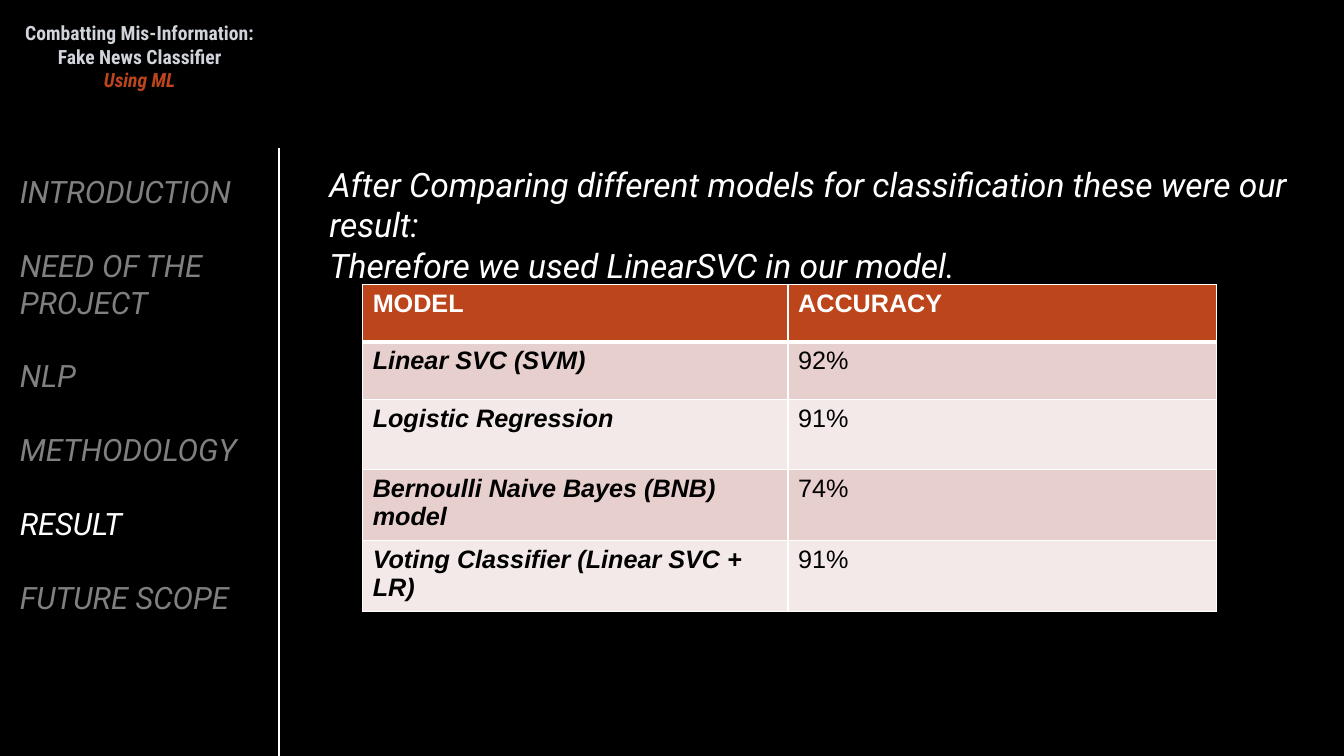
from dataclasses import dataclass

from lxml.etree import SubElement
from pptx import Presentation
from pptx.dml.color import RGBColor
from pptx.enum.shapes import MSO_CONNECTOR
from pptx.enum.text import MSO_ANCHOR, MSO_AUTO_SIZE, PP_ALIGN
from pptx.oxml.ns import qn
from pptx.shapes.base import BaseShape
from pptx.slide import Slide
from pptx.table import _Cell
from pptx.text.text import TextFrame, _Paragraph
from pptx.util import Cm, Pt

BLACK = RGBColor(0x00, 0x00, 0x00)
WHITE = RGBColor(0xFF, 0xFF, 0xFF)
GREY = RGBColor(0x80, 0x80, 0x80)
SILVER = RGBColor(0xD1, 0xD5, 0xDB)
RUST = RGBColor(0xBC, 0x45, 0x1B)
ROSE = RGBColor(0xE7, 0xCF, 0xCD)
PALE = RGBColor(0xF3, 0xE9, 0xE8)


@dataclass
class Style:
    font: str
    size: float
    color: RGBColor
    bold: bool = False
    italic: bool = False


@dataclass
class Line:
    text: str
    style: Style


@dataclass
class Box:
    left: float
    top: float
    width: float
    height: float


@dataclass
class Score:
    model: str
    value: str
    height: float


HEAD = Style("Roboto Condensed", 14, SILVER, bold=True)
ACCENT = Style("Roboto Condensed", 14, RUST, bold=True, italic=True)
BODY = Style("Roboto", 24, WHITE, italic=True)
ITEM = Style("Roboto", 22, GREY, italic=True)
ACTIVE = Style("Roboto", 22, WHITE, italic=True)
LABEL = Style("Arial", 18, WHITE, bold=True)
MODEL = Style("Arial", 18, BLACK, bold=True, italic=True)
VALUE = Style("Arial", 18, BLACK)

TITLE = [
    Line("Combatting Mis-Information:", HEAD),
    Line("Fake News Classifier", HEAD),
    Line("Using ML", ACCENT),
]
TOPICS = ["INTRODUCTION", "NEED OF THE PROJECT", "NLP", "METHODOLOGY",
          "RESULT", "FUTURE SCOPE"]
CURRENT = "RESULT"
INTRO = [
    Line("After Comparing different models for classification "
         "these were our result:", BODY),
    Line("Therefore we used LinearSVC in our model.", BODY),
]
SCORES = [
    Score("MODEL", "ACCURACY", 1.45),
    Score("Linear SVC (SVM)", "92%", 1.45),
    Score("Logistic Regression", "91%", 1.78),
    Score("Bernoulli Naive Bayes (BNB) model", "74%", 1.78),
    Score("Voting Classifier (Linear SVC + LR)", "91%", 1.78),
]
WIDTHS = [10.72, 10.8]


def add_run(para: _Paragraph, line: Line) -> None:
    run = para.add_run()
    run.text = line.text
    font, style = run.font, line.style
    font.name = style.font
    font.size = Pt(style.size)
    font.bold = style.bold
    font.italic = style.italic
    font.color.rgb = style.color


def fill_text(frame: TextFrame, lines: list[Line], align: PP_ALIGN,
              gap: float = 0) -> None:
    frame.word_wrap = True
    frame.auto_size = MSO_AUTO_SIZE.NONE
    frame.vertical_anchor = MSO_ANCHOR.TOP
    for index, line in enumerate(lines):
        para = frame.add_paragraph() if index else frame.paragraphs[0]
        para.alignment = align
        para.space_after = Pt(gap)
        add_run(para, line)


def place(shape: BaseShape, box: Box) -> None:
    shape.left, shape.top = Cm(box.left), Cm(box.top)
    shape.width, shape.height = Cm(box.width), Cm(box.height)


def add_text(slide: Slide, box: Box, lines: list[Line], gap: float = 0) -> None:
    shape = slide.shapes.add_textbox(0, 0, 0, 0)
    place(shape, box)
    fill_text(shape.text_frame, lines, PP_ALIGN.LEFT, gap)


def add_rule(slide: Slide, left: float, top: float, end: float) -> None:
    rule = slide.shapes.add_connector(
        MSO_CONNECTOR.STRAIGHT, Cm(left), Cm(top), Cm(left), Cm(end))
    rule.line.color.rgb = WHITE
    rule.line.width = Pt(1.5)
    SubElement(rule._element.spPr, qn("a:effectLst"))


def set_edges(cell: _Cell, row: int) -> None:
    """Draw white cell borders, thick where the header meets the body."""
    props = cell._tc.get_or_add_tcPr()
    widths = {"L": 1, "R": 1, "T": 3 if row == 1 else 1,
              "B": 3 if row == 0 else 1}
    for side, width in widths.items():
        edge = SubElement(props, qn(f"a:ln{side}"), w=str(Pt(width)))
        solid = SubElement(edge, qn("a:solidFill"))
        SubElement(solid, qn("a:srgbClr"), val=str(WHITE))


def add_scores(slide: Slide, left: float, top: float) -> None:
    height = sum(score.height for score in SCORES)
    table = slide.shapes.add_table(
        len(SCORES), len(WIDTHS), Cm(left), Cm(top),
        Cm(sum(WIDTHS)), Cm(height)).table
    for col, width in zip(table.columns, WIDTHS):
        col.width = Cm(width)
    for row, score in enumerate(SCORES):
        table.rows[row].height = Cm(score.height)
        styles = (MODEL, VALUE) if row else (LABEL, LABEL)
        shade = (ROSE if row % 2 else PALE) if row else RUST
        for col, text in enumerate((score.model, score.value)):
            cell = table.cell(row, col)
            set_edges(cell, row)
            cell.fill.solid()
            cell.fill.fore_color.rgb = shade
            add_run(cell.text_frame.paragraphs[0], Line(text, styles[col]))


def main() -> None:
    deck = Presentation()
    deck.slide_width, deck.slide_height = Cm(33.87), Cm(19.05)
    slide = deck.slides.add_slide(deck.slide_layouts.get_by_name("Title Only"))
    slide.background.fill.solid()
    slide.background.fill.fore_color.rgb = BLACK

    place(slide.shapes.title, Box(0, 0.41, 7.04, 2.06))
    fill_text(slide.shapes.title.text_frame, TITLE, PP_ALIGN.CENTER)

    add_text(slide, Box(8.05, 4.01, 25.02, 2.31), INTRO)
    add_rule(slide, 7.04, 3.73, 19.05)
    topics = [Line(topic, ACTIVE if topic == CURRENT else ITEM)
              for topic in TOPICS]
    add_text(slide, Box(0.25, 4.22, 6.78, 14.35), topics, gap=26.4)
    add_scores(slide, 9.14, 7.16)
    deck.save("out.pptx")


if __name__ == "__main__":
    main()
